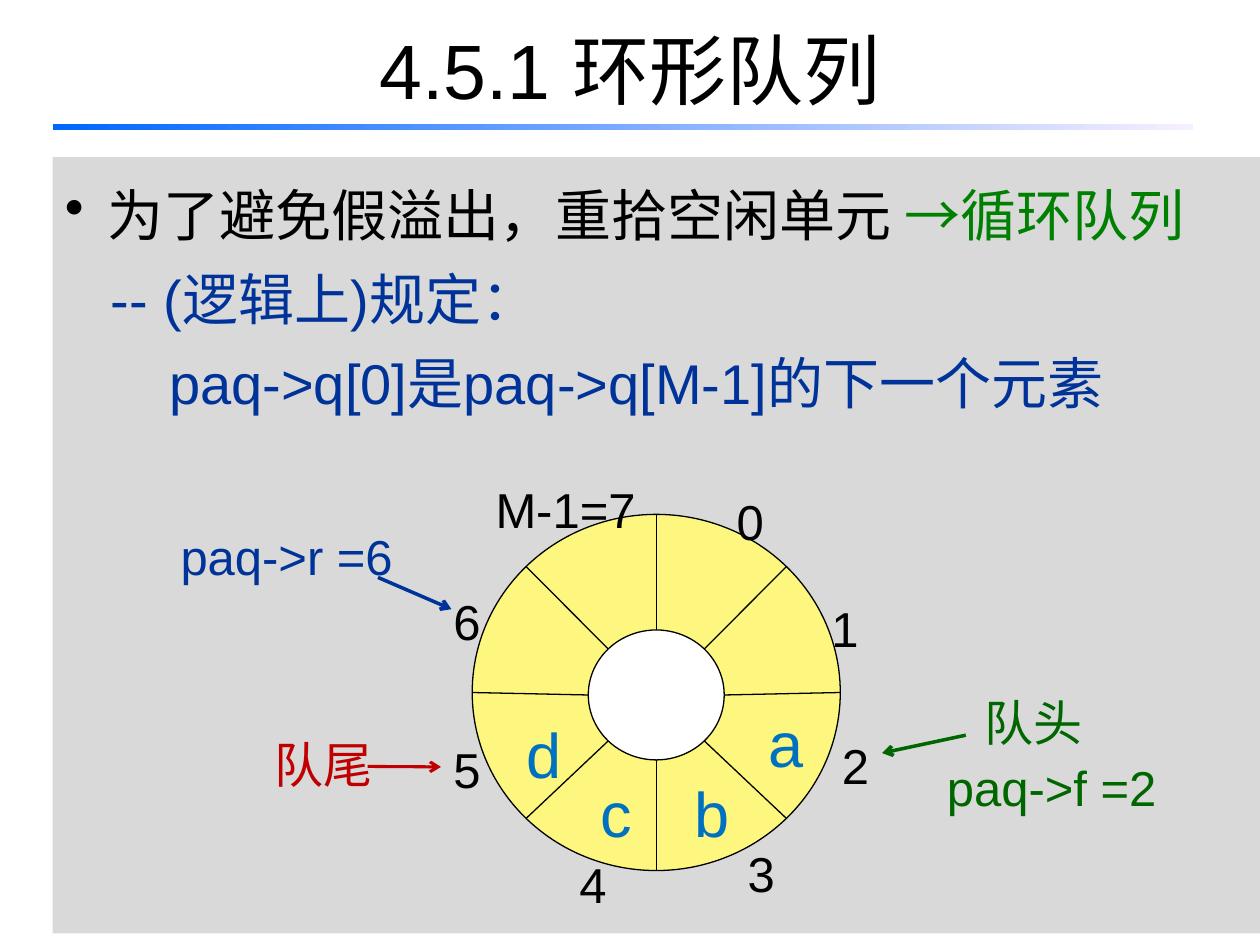
from math import cos, radians, sin

from lxml.etree import SubElement
from pptx import Presentation
from pptx.dml.color import RGBColor
from pptx.enum.shapes import MSO_CONNECTOR as Connector, MSO_SHAPE as Shape
from pptx.enum.text import MSO_ANCHOR as Anchor, PP_ALIGN as Align
from pptx.oxml.ns import qn
from pptx.util import Cm, Pt

# Content
COLORS = {
    "black": "000000", "white": "FFFFFF", "panel": "D9D9D9", "ring": "FDF77F",
    "navy": "003399", "green": "008000", "forest": "006600", "red": "C00000",
    "letter": "0070C0", "rule_start": "0066FF", "rule_end": "F7EFFF",
}
TITLE = "4.5.1 环形队列"
# Each paragraph: runs of (text, colour), left margin, first-line indent, bullet
BODY = [
    ([("为了避免假溢出，重拾空闲单元 ", "black"), ("→循环队列", "green")], 0.85, -0.85, "•"),
    ([("-- (逻辑上)规定：", "navy")], 0.92, 0, None),
    ([("paq->q[0]是paq->q[M-1]的下一个元素", "navy")], 2.1, 0, None),
]
# Text, left, top, width
INDEX_LABELS = [
    ("0", 14.6, 9.48, 1.27), ("1", 16.51, 11.64, 1.27), ("2", 16.72, 14.4, 1.27),
    ("3", 14.82, 16.59, 1.27), ("4", 11.43, 16.81, 1.27), ("5", 8.89, 14.48, 1.27),
    ("6", 8.89, 11.51, 1.27), ("M-1=7", 9.74, 9.25, 3.81),
]
ELEMENTS = [("a", 15.24, 13.69), ("b", 13.76, 15.11), ("c", 11.85, 15.11), ("d", 10.37, 13.92)]
# Paragraphs of (text, left margin, line spacing), place, colour
POINTERS = [
    ([("paq->r =6", 0, 1.1)], (3.39, 10.37, 5.5, 1.48), "navy"),
    ([("队头", 0.75, 1.0), ("paq->f =2", 0, 1.1)], (18.84, 13.84, 5.5, 2.76), "forest"),
    ([("队尾", 0, 0.9)], (5.29, 14.82, 2.75, 1.34), "red"),
]
# Start, end, colour, width
ARROWS = [
    ((7.62, 11.64), (9.1, 12.28), "navy", 2),
    ((19.47, 14.82), (17.78, 15.18), "forest", 2),
    ((7.41, 15.45), (8.89, 15.46), "red", 1.75),
]
# Ellipses of the ring: centre x, centre y, radius x, radius y
OUTER = (13.23, 13.96, 3.71, 3.59)
INNER = (13.23, 14.01, 1.37, 1.31)
CELLS = 8

deck = Presentation()
deck.slide_width, deck.slide_height = Cm(25.4), Cm(19.05)
page = deck.slides.add_slide(deck.slide_layouts[5])


def color(name):
    return RGBColor.from_string(COLORS[name])


def write(frame, runs, *, size, first=True, spacing=1.0, margin=0, indent=0,
          bullet=None, align=Align.LEFT):
    """Write one paragraph of (text, colour) runs."""
    para = frame.paragraphs[0] if first else frame.add_paragraph()
    para.alignment = align
    para.line_spacing = spacing
    properties = para._p.get_or_add_pPr()
    properties.set("marL", str(Cm(margin)))
    properties.set("indent", str(Cm(indent)))
    if bullet:
        bullet_color = SubElement(properties, qn("a:buClr"))
        SubElement(bullet_color, qn("a:srgbClr"), val=COLORS["black"])
        SubElement(properties, qn("a:buChar"), char=bullet)
    for text, name in runs:
        span = para.add_run()
        span.text = text
        span.font.name = "Arial"
        span.font.size = Pt(size)
        span.font.color.rgb = color(name)


def add_label(left, top, width, height):
    frame = page.shapes.add_textbox(Cm(left), Cm(top), Cm(width), Cm(height)).text_frame
    frame.word_wrap = True
    return frame


def add_block(kind, left, top, width, height, fill=None, line=None):
    shape = page.shapes.add_shape(kind, Cm(left), Cm(top), Cm(width), Cm(height))
    shape.shadow.inherit = False
    if fill:
        shape.fill.solid()
        shape.fill.fore_color.rgb = color(fill)
    if line:
        shape.line.color.rgb = color(line)
        shape.line.width = Pt(0.75)
    else:
        shape.line.fill.background()
    return shape


def add_line(start, end, name, width, arrow=False):
    points = [Cm(value) for value in (*start, *end)]
    line = page.shapes.add_connector(Connector.STRAIGHT, *points)
    line.line.color.rgb = color(name)
    line.line.width = Pt(width)
    if arrow:
        SubElement(line.line._get_or_add_ln(), qn("a:tailEnd"), type="arrow")
    SubElement(line._element.spPr, qn("a:effectLst"))


def rim_point(ellipse, angle):
    x, y, radius_x, radius_y = ellipse
    return x + radius_x * cos(angle), y + radius_y * sin(angle)


# Title and the fading rule under it
title = page.shapes.title
title.left, title.top, title.width, title.height = Cm(1.27), Cm(-0.2), Cm(22.86), Cm(3.18)
title.text_frame.vertical_anchor = Anchor.MIDDLE
write(title.text_frame, [(TITLE, "black")], size=44, align=Align.CENTER)

rule = add_block(Shape.RECTANGLE, 1.06, 2.51, 22.99, 0.11)
rule.fill.gradient()
rule.fill.gradient_angle = 0
for stop, name in zip(rule.fill.gradient_stops, ("rule_start", "rule_end")):
    stop.color.rgb = color(name)

# Panel with the body text
panel = add_block(Shape.RECTANGLE, 1.06, 3.17, 24.34, 15.65, fill="panel").text_frame
panel.word_wrap = True
panel.vertical_anchor = Anchor.TOP
for number, (runs, margin, indent, bullet) in enumerate(BODY):
    write(panel, runs, size=32, first=number == 0, spacing=1.25,
          margin=margin, indent=indent, bullet=bullet)

# Ring and its spokes
for (x, y, radius_x, radius_y), fill in ((OUTER, "ring"), (INNER, "white")):
    add_block(Shape.OVAL, x - radius_x, y - radius_y, 2 * radius_x, 2 * radius_y,
              fill=fill, line="black")
for cell in range(CELLS):
    angle = radians(cell * 360 / CELLS)
    add_line(rim_point(OUTER, angle), rim_point(INNER, angle), "black", 0.75)

# Cell indices and stored elements
for text, left, top, width in INDEX_LABELS:
    write(add_label(left, top, width, 1.6), [(text, "black")], size=28, spacing=1.25)
for text, left, top in ELEMENTS:
    write(add_label(left, top, 1.9, 2.18), [(text, "letter")], size=36, spacing=1.25)

# Head and tail pointers
for lines, place, name in POINTERS:
    frame = add_label(*place)
    for number, (text, margin, spacing) in enumerate(lines):
        write(frame, [(text, name)], size=28, first=number == 0,
              spacing=spacing, margin=margin)
for start, end, name, width in ARROWS:
    add_line(start, end, name, width, arrow=True)

deck.save("out.pptx")
